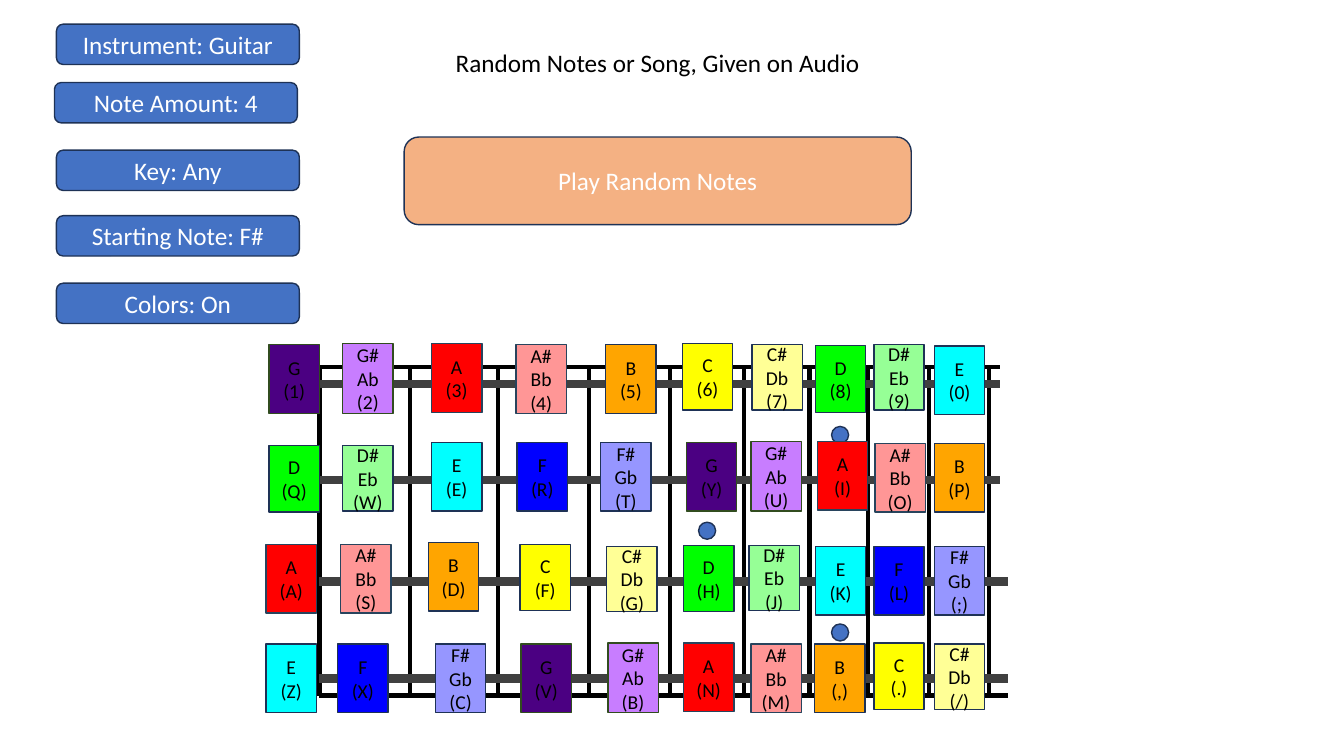
from pptx import Presentation
from pptx.dml.color import RGBColor
from pptx.enum.shapes import MSO_CONNECTOR as Connector, MSO_SHAPE as Shape
from pptx.enum.text import MSO_ANCHOR as Anchor, MSO_AUTO_SIZE as AutoSize, PP_ALIGN as Align
from pptx.oxml.ns import qn
from pptx.util import Pt
from lxml import etree

COLORS = {"black": "000000", "white": "FFFFFF", "blue": "4472C4", "peach": "F4B183",
          "string": "404040", "navy": "1E3256", "green": "314C1F", "slate": "28445D"}
BUTTON_FONT = {"size": Pt(18), "name": "Calibri"}
NOTE_FONT = {"size": Pt(14), "name": "Calibri"}

TITLE = ("Random Notes or Song, Given on Audio", 195.8, 30.2, 547.9, 28.8)
PLAY = ("Play Random Notes", 288.7, 97.9, 362.2, 62.6)
SETTINGS = [
    ("Instrument: Guitar", 40.3, 17.3),
    ("Note Amount: 4", 38.9, 59),
    ("Key: Any", 40.3, 107.3),
    ("Starting Note: F#", 40.3, 154.1),
    ("Colors: On", 40.3, 202.3),
]
SETTING_SIZE = (173.5, 28.8)

NOTES = [
    ("C", "FFFF00", "navy", 47.5),
    ("C# Db", "FFFF96", "navy", 46.8),
    ("D", "00FF00", "navy", 47.5),
    ("D# Eb", "96FF96", "navy", 46.8),
    ("E", "00FFFF", "navy", 49),
    ("F", "0000FF", "navy", 49),
    ("F# Gb", "9696FF", "navy", 49),
    ("G", "4B0082", "green", 49),
    ("G# Ab", "C87DFF", "green", 49.7),
    ("A", "FF0000", "slate", 49),
    ("A# Bb", "FF9696", "slate", 49),
    ("B", "FFA500", "navy", 49),
]
NOTE_WIDTH = 36
STRINGS = [
    {"open": "G", "keys": "1234567890", "y": 274.3, "end": 714.2,
     "lefts": [192.2, 244.8, 308.2, 368.6, 432.7, 487.4, 537.1, 582.5, 624.2, 667.4],
     "tops": [246.2, 245.5, 245.5, 246.2, 246.2, 245.5, 246.2, 247, 246.2, 247]},
    {"open": "D", "keys": "QWERTYUIOP", "y": 342.7, "end": 714.2,
     "lefts": [192.2, 244.8, 308.2, 369.4, 429.1, 490.3, 536.4, 583.9, 625, 667.4],
     "tops": [318.2, 318.2, 316.1, 316.1, 316.1, 316.1, 315.4, 315.4, 316.8, 316.8]},
    {"open": "A", "keys": "ASDFGHJKL;", "y": 415.4, "end": 720,
     "lefts": [190.1, 243.4, 306, 371.5, 433.4, 488.2, 535, 582.5, 624.2, 667.4],
     "tops": [388.8, 388.8, 387.4, 388.8, 390.2, 389.5, 389.5, 390.2, 390.2, 390.2]},
    {"open": "E", "keys": "ZXCVBNM,./", "y": 484.6, "end": 720,
     "lefts": [190.1, 241.2, 311, 372.2, 434.2, 488.2, 536.4, 581.8, 624.2, 667.4],
     "tops": [460.1, 460.1, 460.1, 460.1, 459.4, 459.4, 460.1, 460.1, 459.4, 460.1]},
]
FRETS = [228.2, 293, 355.7, 420.5, 478.8, 531.4, 578.2, 619.9, 663.8, 706.3]
NECK_TOP, NECK_BOTTOM = 262.1, 496.8
DOTS = [(499, 373), (594, 304.6), (594, 445.7)]
DOT_SIZE = 12.2

presentation = Presentation()
presentation.slide_width, presentation.slide_height = Pt(960), Pt(540)
slide = presentation.slides.add_slide(presentation.slide_layouts[6])


def rgb(color):
    return RGBColor.from_string(COLORS.get(color, color))


def write(shape, lines, font, color):
    frame = shape.text_frame
    frame.word_wrap = True
    frame.text = "\n".join(lines)
    for paragraph in frame.paragraphs:
        paragraph.alignment = Align.CENTER
        for name, value in font.items():
            setattr(paragraph.font, name, value)
        paragraph.font.color.rgb = rgb(color)


def add_block(kind, box, fill, outline, lines=(), font=BUTTON_FONT, color="white"):
    shape = slide.shapes.add_shape(kind, *map(Pt, box))
    shape.shadow.inherit = False
    shape.fill.solid()
    shape.fill.fore_color.rgb = rgb(fill)
    shape.line.color.rgb = rgb(outline)
    shape.line.width = Pt(1)
    if lines:
        write(shape, lines, font, color)
        shape.text_frame.vertical_anchor = Anchor.MIDDLE


def add_line(x1, y1, x2, y2, color, width):
    line = slide.shapes.add_connector(Connector.STRAIGHT, *map(Pt, (x1, y1, x2, y2)))
    line.line.color.rgb = rgb(color)
    line.line.width = Pt(width)
    etree.SubElement(line._element.spPr, qn("a:effectLst"))


title, *title_box = TITLE
heading = slide.shapes.add_textbox(*map(Pt, title_box))
write(heading, [title], BUTTON_FONT, "black")
heading.text_frame.auto_size = AutoSize.SHAPE_TO_FIT_TEXT

play, *play_box = PLAY
add_block(Shape.ROUNDED_RECTANGLE, play_box, "peach", "navy", [play])
for label, left, top in SETTINGS:
    add_block(Shape.ROUNDED_RECTANGLE, (left, top, *SETTING_SIZE), "blue", "navy", [label])

for x in FRETS:
    add_line(x, NECK_TOP, x, NECK_BOTTOM, "black", 3)
for left, top in DOTS:
    add_block(Shape.OVAL, (left, top, DOT_SIZE, DOT_SIZE), "blue", "navy")
for y, string in ((NECK_TOP, STRINGS[0]), (NECK_BOTTOM, STRINGS[-1])):
    add_line(FRETS[0], y, string["end"], y, "black", 3)
for string in STRINGS:
    add_line(FRETS[0], string["y"], string["end"], string["y"], "string", 6)

note_names = [note[0] for note in NOTES]
for string in STRINGS:
    first = note_names.index(string["open"])
    places = zip(string["keys"], string["lefts"], string["tops"])
    for step, (key, left, top) in enumerate(places):
        name, fill, outline, height = NOTES[(first + step) % len(NOTES)]
        add_block(Shape.RECTANGLE, (left, top, NOTE_WIDTH, height), fill, outline,
                  [*name.split(), f"({key})"], NOTE_FONT, "black")

presentation.save("out.pptx")
